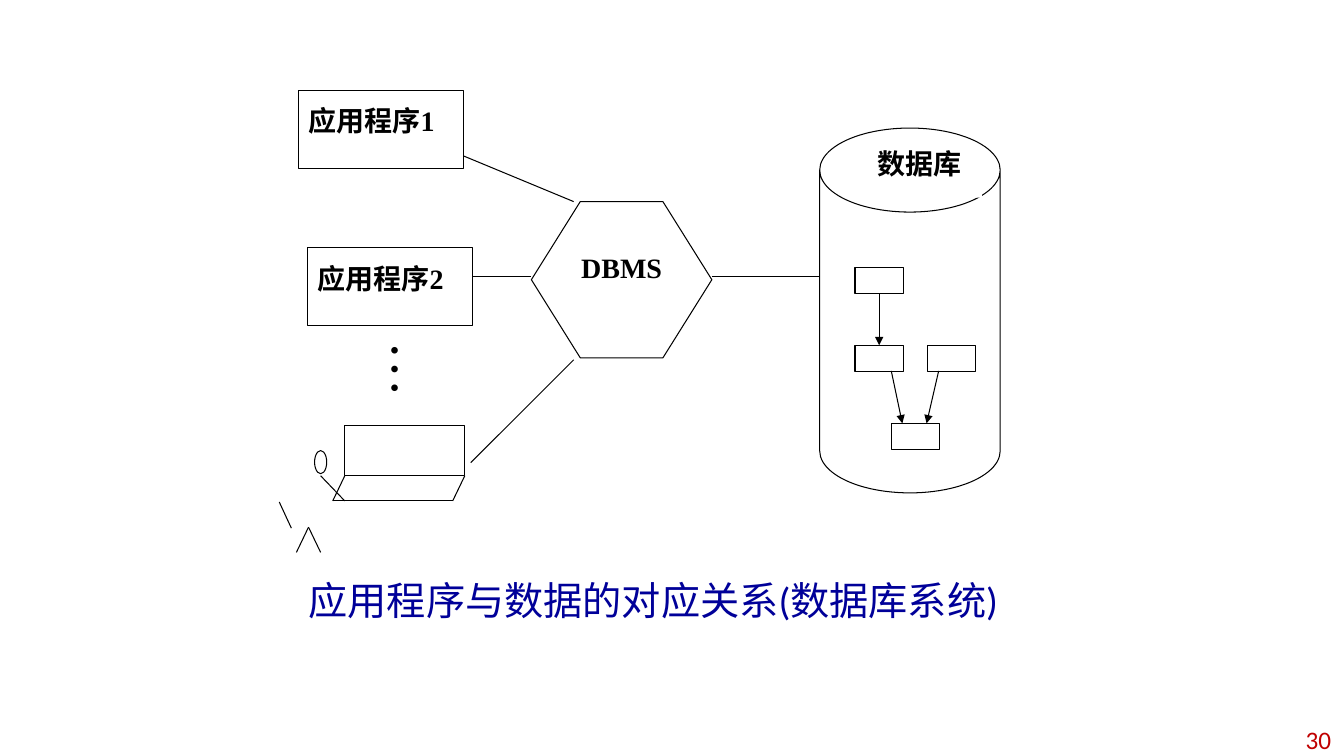
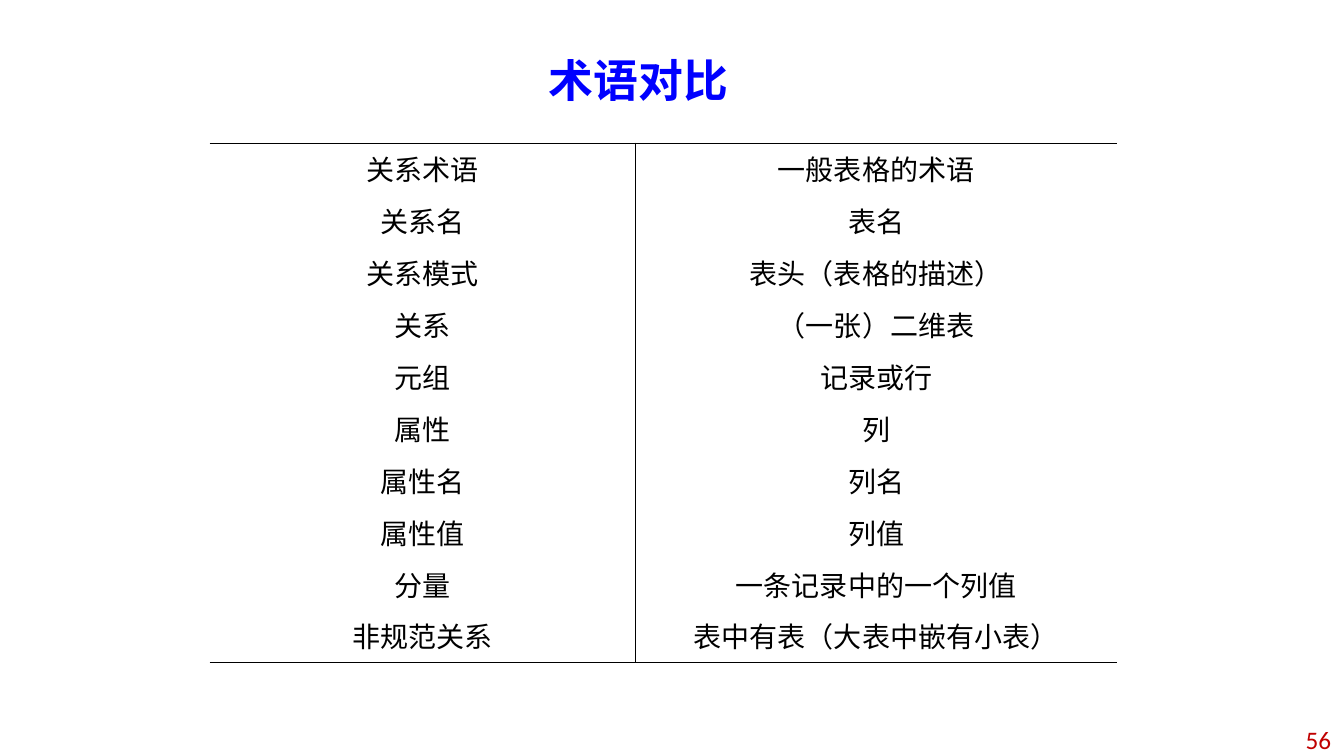
"""Build two database slides: a system diagram and a comparison of terms."""
from lxml.etree import SubElement
from pptx import Presentation
from pptx.dml.color import RGBColor
from pptx.enum.shapes import MSO_CONNECTOR, MSO_SHAPE
from pptx.enum.text import MSO_ANCHOR, PP_ALIGN
from pptx.oxml.ns import qn
from pptx.util import Inches, Pt

BLACK = RGBColor(0x00, 0x00, 0x00)
WHITE = RGBColor(0xFF, 0xFF, 0xFF)
NUMBER_RED = RGBColor(0xC0, 0x00, 0x00)
CAPTION_BLUE = RGBColor(0x00, 0x00, 0x99)
TITLE_BLUE = RGBColor(0x00, 0x00, 0xFF)
SERIF, SANS, HEADING = "Times New Roman", "Calibri", "Arial"
LINE_WIDTH = Pt(0.75)
WIDTH, HEIGHT = 13.33, 7.5
DEFAULT_INSETS = (0.1, 0.05, 0.1, 0.05)

CAPTION = "应用程序与数据的对应关系(数据库系统)"
APPLICATIONS = [("应用程序1", 2.96, 0.9), ("应用程序2", 3.05, 2.46)]
APPLICATION_SIZE = (1.64, 0.77)

LINKS = [
    (7.06, 2.74, 8.13, 2.74),
    (4.58, 1.54, 5.69, 2.0),
    (4.67, 2.74, 5.27, 2.74),
    (4.67, 4.59, 5.69, 3.57),
]
TERMINAL_LINES = [
    (3.42, 4.72, 3.3, 4.97),
    (4.61, 4.72, 4.49, 4.97),
    (3.3, 4.97, 4.49, 4.97),
]
USER_LINES = [
    (2.77, 4.98, 2.89, 5.24),
    (3.06, 5.23, 3.18, 5.48),
    (3.06, 5.23, 2.94, 5.48),
    (3.18, 4.72, 3.42, 4.97),
]
BACK_CURVE = [(3.17, 4.72), (3.11, 4.72), (3.05, 4.95), (3.05, 5.23)]
CURVE_STEPS = 16

RECORD_ORIGIN, RECORD_STEP, RECORD_SIZE = (8.48, 2.65), (0.36, 0.775), (0.48, 0.26)
RECORD_CELLS = {"root": (0, 0), "left": (0, 1), "right": (2, 1), "leaf": (1, 2)}
RECORD_ARROWS = [(8.84, 3.68, 8.95, 4.2), (9.31, 3.68, 9.19, 4.2)]

TITLE = "术语对比"
TERMS = [
    ("关系术语", "一般表格的术语"),
    ("关系名", "表名"),
    ("关系模式", "表头（表格的描述）"),
    ("关系", "（一张）二维表"),
    ("元组", "记录或行"),
    ("属性", "列"),
    ("属性名", "列名"),
    ("属性值", "列值"),
    ("分量", "一条记录中的一个列值"),
    ("非规范关系", "表中有表（大表中嵌有小表）"),
]
TABLE_LEFT, TABLE_TOP, TABLE_HEIGHT = 2.08, 1.42, 5.15
COLUMN_WIDTHS = (4.22, 4.78)


def write(frame, text, size, font, color, align, bold=False,
          insets=DEFAULT_INSETS, anchor=MSO_ANCHOR.TOP):
    frame.word_wrap = True
    frame.vertical_anchor = anchor
    frame.margin_left, frame.margin_top, frame.margin_right, frame.margin_bottom = map(
        Inches, insets)
    write_run(frame.paragraphs[0], text, size, font, color, align, bold)


def write_run(para, text, size, font, color, align, bold=False):
    para.alignment = align
    span = para.add_run()
    span.text = text
    span.font.size, span.font.name, span.font.bold = Pt(size), font, bold
    span.font.color.rgb = color


def add_text(page, place, *style, **options):
    box = page.shapes.add_textbox(*map(Inches, place))
    write(box.text_frame, *style, **options)
    return box


def outline(shape):
    shape.shadow.inherit = False
    shape.line.color.rgb = BLACK
    shape.line.width = LINE_WIDTH


def add_box(page, kind, place, outlined=True):
    box = page.shapes.add_shape(kind, *map(Inches, place))
    outline(box)
    box.fill.solid()
    box.fill.fore_color.rgb = WHITE
    if not outlined:
        box.line.fill.background()
    return box


def add_line(page, ends, arrow=False):
    line = page.shapes.add_connector(MSO_CONNECTOR.STRAIGHT, *map(Inches, ends))
    line.line.color.rgb = BLACK
    line.line.width = LINE_WIDTH
    if arrow:
        SubElement(line.line._get_or_add_ln(), qn("a:tailEnd"), type="triangle")
    SubElement(line._element.spPr, qn("a:effectLst"))
    return line


def add_page(deck, number):
    page = deck.slides.add_slide(deck.slide_layouts[6])
    add_text(page, (WIDTH - 3.14, HEIGHT - 0.3, 3.11, 0.27), number, 18, SANS,
             NUMBER_RED, PP_ALIGN.RIGHT, anchor=MSO_ANCHOR.MIDDLE)
    return page


def curve_point(share):
    weights = ((1 - share) ** 3, 3 * share * (1 - share) ** 2,
               3 * share ** 2 * (1 - share), share ** 3)
    return tuple(sum(w * point[axis] for w, point in zip(weights, BACK_CURVE))
                 for axis in (0, 1))


def draw_user(page):
    add_box(page, MSO_SHAPE.RECTANGLE, (3.42, 4.22, 1.19, 0.5))
    add_box(page, MSO_SHAPE.FLOWCHART_CONNECTOR, (3.12, 4.47, 0.12, 0.23))
    builder = page.shapes.build_freeform(*BACK_CURVE[0], scale=Inches(1))
    builder.add_line_segments(
        [curve_point(step / CURVE_STEPS) for step in range(1, CURVE_STEPS + 1)], close=False)
    back = builder.convert_to_shape()
    outline(back)
    back.fill.background()
    for ends in TERMINAL_LINES + USER_LINES:
        add_line(page, ends)


def draw_database(page):
    cylinder = add_box(page, MSO_SHAPE.CAN, (8.13, 1.27, 1.79, 3.62))
    cylinder.adjustments[0] = 0.466
    records = {}
    for name, cell in RECORD_CELLS.items():
        corner = [start + step * index
                  for start, step, index in zip(RECORD_ORIGIN, RECORD_STEP, cell)]
        records[name] = add_box(page, MSO_SHAPE.RECTANGLE, (*corner, *RECORD_SIZE))
    arrow = add_line(page, (8.72, 2.91, 8.72, 3.42), arrow=True)
    arrow.begin_connect(records["root"], 2)
    arrow.end_connect(records["left"], 0)
    for ends in RECORD_ARROWS:
        add_line(page, ends, arrow=True)
    label = add_box(page, MSO_SHAPE.RECTANGLE, (8.51, 1.45, 1.23, 0.51), outlined=False)
    write(label.text_frame, "数据库", 20, SERIF, BLACK, PP_ALIGN.CENTER, True, (0, 0, 0, 0))


def build_diagram(deck):
    page = add_page(deck, "30")
    draw_user(page)
    system = add_box(page, MSO_SHAPE.HEXAGON, (5.27, 2, 1.79, 1.55))
    system.adjustments[0], system.adjustments[1] = 0.313, 1.155
    write(system.text_frame, "DBMS", 20, SERIF, BLACK, PP_ALIGN.CENTER, True,
          (0, 0.21, 0, 0.05))
    draw_database(page)
    for ends in LINKS:
        add_line(page, ends)
    for name, left, top in APPLICATIONS:
        box = add_box(page, MSO_SHAPE.RECTANGLE, (left, top, *APPLICATION_SIZE))
        write(box.text_frame, name, 20, SERIF, BLACK, PP_ALIGN.JUSTIFY, True,
              (0.1, 0.13, 0.1, 0.05))
    dots = add_text(page, (3.59, 3.29, 0.91, 1.07), "…", 40, SERIF, BLACK, PP_ALIGN.LEFT)
    dots.text_frame._txBody.bodyPr.set("vert", "eaVert")
    add_text(page, (2.92, 5.67, 7.12, 0.57), CAPTION, 28, SANS, CAPTION_BLUE,
             PP_ALIGN.CENTER)


def set_borders(cell, visible):
    properties = cell._tc.get_or_add_tcPr()
    for side in "LRTB":
        border = SubElement(properties, qn(f"a:ln{side}"), w=str(Pt(1)))
        if side in visible:
            fill = SubElement(border, qn("a:solidFill"))
            SubElement(fill, qn("a:srgbClr"), val=str(BLACK))
        else:
            SubElement(border, qn("a:noFill"))


def build_terms(deck):
    page = add_page(deck, "56")
    frame = page.shapes.add_table(
        len(TERMS), len(COLUMN_WIDTHS), Inches(TABLE_LEFT), Inches(TABLE_TOP),
        Inches(sum(COLUMN_WIDTHS)), Inches(TABLE_HEIGHT))
    table = frame.table
    table.first_row = table.horz_banding = False
    for column, width in zip(table.columns, COLUMN_WIDTHS):
        column.width = Inches(width)
    for row, terms in enumerate(TERMS):
        edges = {0: "T", len(TERMS) - 1: "B"}.get(row, "")
        for column, term in enumerate(terms):
            cell = table.cell(row, column)
            set_borders(cell, edges + "RL"[column])
            cell.fill.background()
            write_run(cell.text_frame.paragraphs[0], term, 20, SERIF, BLACK, PP_ALIGN.CENTER)
    add_text(page, (5.17, 0.47, 2.33, 0.64), TITLE, 32, HEADING, TITLE_BLUE,
             PP_ALIGN.CENTER, bold=True)


def main():
    deck = Presentation()
    deck.slide_width, deck.slide_height = Inches(WIDTH), Inches(HEIGHT)
    build_diagram(deck)
    build_terms(deck)
    deck.save("out.pptx")


if __name__ == "__main__":
    main()
